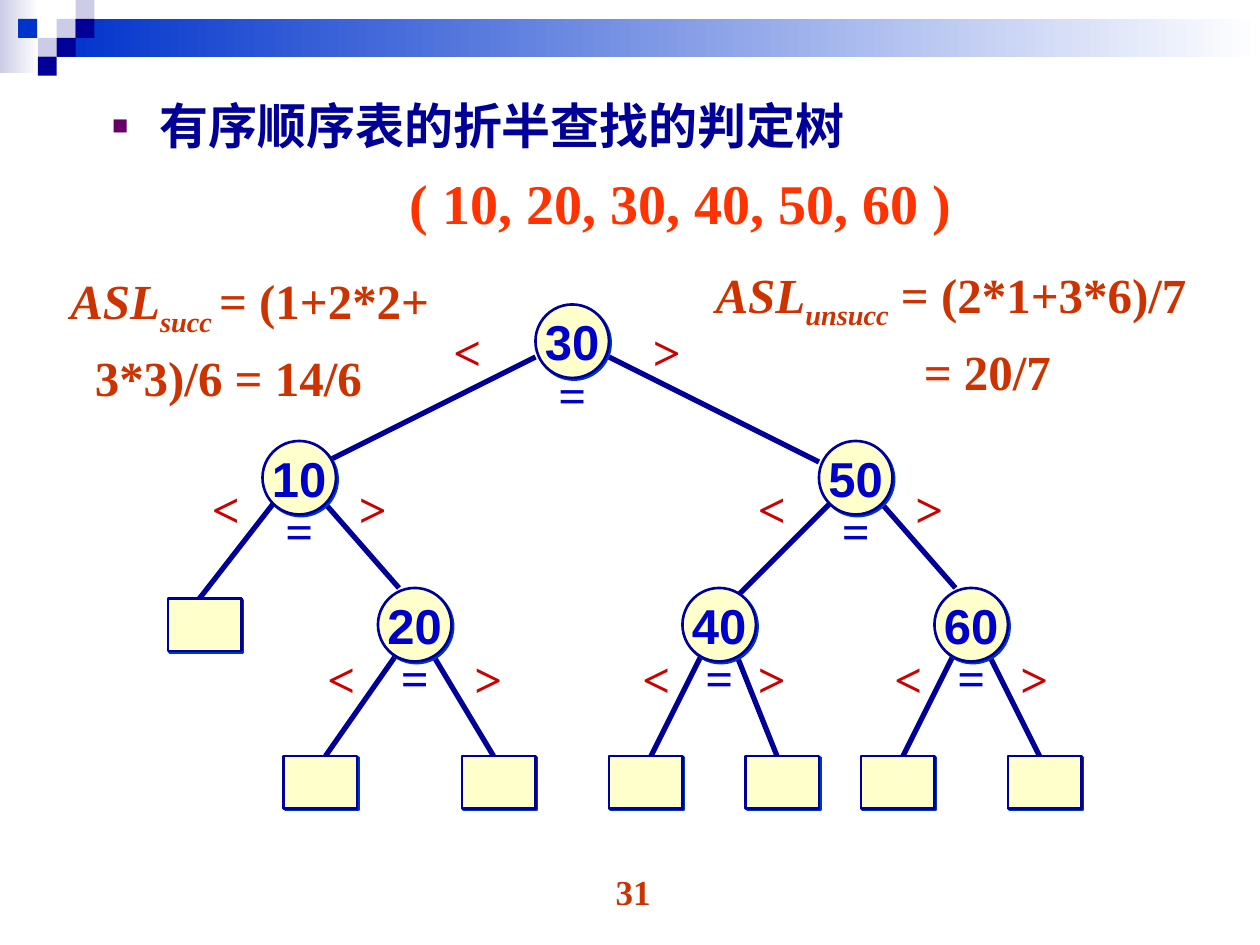
from lxml.etree import SubElement
from pptx import Presentation
from pptx.dml.color import RGBColor
from pptx.enum.shapes import MSO_CONNECTOR, MSO_SHAPE
from pptx.enum.text import MSO_ANCHOR, MSO_AUTO_SIZE, PP_ALIGN
from pptx.oxml.ns import qn
from pptx.util import Pt

HUES = {
    "navy": "000099", "blue": "0033CC", "ink": "0000CC", "pale": "CCCCE6",
    "cream": "FFFFCC", "white": "FFFFFF", "red": "CC0000", "rust": "CC3300",
    "flame": "FF3300", "plum": "660066",
}
SERIF, SANS = "Times New Roman", "Arial"
SIDE = 42
NODES = [  # label, left, top, offset of "<", offset of ">", drop of both
    ("30", 306, 174, -54, 60, 6),
    ("10", 150, 252, -36, 48, 18),
    ("50", 468, 252, -42, 48, 18),
    ("20", 216, 336, -36, 48, 31),
    ("40", 390, 336, -30, 36, 31),
    ("60", 534, 336, -30, 42, 31),
]
LEAVES = [(96, 342)] + [(x, 432) for x in (162, 264, 348, 426, 492, 576)]
EDGES = [
    (306, 204, 186, 264), (348, 204, 468, 264),
    (156, 288, 114, 342), (186, 288, 228, 336),
    (474, 288, 420, 342), (504, 288, 546, 336),
    (228, 372, 186, 432), (246, 372, 282, 432),
    (402, 372, 372, 432), (420, 372, 444, 432),
    (546, 372, 516, 432), (564, 372, 594, 432),
]
TILES = [
    (32.4, 10.8, "pale"), (43.2, 0, "pale"), (43.2, 10.8, "navy"),
    (21.6, 21.6, "pale"), (10.4, 10.8, "blue"), (32.4, 21.6, "navy"),
    (21.6, 32.4, "navy"),
]


def hue(name):
    """Return the named colour."""
    return RGBColor.from_string(HUES[name])


def style(run, size, name, face=SERIF):
    """Format a run in bold."""
    font = run.font
    font.size, font.name, font.bold = Pt(size), face, True
    font.color.rgb = hue(name)


def indent(para, left, first=0):
    """Set the left margin and first-line indent of a paragraph."""
    props = para._p.get_or_add_pPr()
    props.set("marL", str(Pt(left)))
    props.set("indent", str(Pt(first)))
    return props


def add_plain(slide, left, top, width, height):
    """Add a rectangle with no line or shadow."""
    shape = slide.shapes.add_shape(
        MSO_SHAPE.RECTANGLE, Pt(left), Pt(top), Pt(width), Pt(height))
    shape.shadow.inherit = False
    shape.line.fill.background()
    return shape


def add_fade(slide, left, top, width, height, name):
    """Add a rectangle that fades to white on the right."""
    fill = add_plain(slide, left, top, width, height).fill
    fill.gradient()
    fill.gradient_angle = 0
    for stop, tone in zip(fill.gradient_stops, (name, "white")):
        stop.color.rgb = hue(tone)


def add_tile(slide, left, top, name):
    """Add a small square of the header pattern."""
    fill = add_plain(slide, left, top, 10.8, 10.8).fill
    fill.solid()
    fill.fore_color.rgb = hue(name)


def add_cell(slide, kind, left, top, height):
    """Add a cream tree shape with a hard blue shadow."""
    shape = slide.shapes.add_shape(
        kind, Pt(left), Pt(top), Pt(SIDE), Pt(height))
    shape.fill.solid()
    shape.fill.fore_color.rgb = hue("cream")
    shape.line.color.rgb = hue("navy")
    shape.line.width = Pt(1.5)
    shape.shadow.inherit = False
    glow = shape._element.spPr.find(qn("a:effectLst"))
    cast = SubElement(glow, qn("a:outerShdw"), blurRad="0",
                      dist=str(Pt(1.4)), dir="2700000", algn="ctr")
    SubElement(cast, qn("a:srgbClr"), val=HUES["blue"])
    return shape


def add_node(slide, label, left, top):
    """Add a round node with its key."""
    frame = add_cell(slide, MSO_SHAPE.OVAL, left, top, SIDE).text_frame
    frame.text = label
    frame.word_wrap = False
    frame.vertical_anchor = MSO_ANCHOR.MIDDLE
    para = frame.paragraphs[0]
    para.alignment = PP_ALIGN.CENTER
    style(para.runs[0], 28, "ink", SANS)


def add_edge(slide, x1, y1, x2, y2):
    """Add a branch of the tree."""
    edge = slide.shapes.add_connector(
        MSO_CONNECTOR.STRAIGHT, Pt(x1), Pt(y1), Pt(x2), Pt(y2))
    edge.line.color.rgb = hue("navy")
    edge.line.width = Pt(3)
    SubElement(edge._element.spPr, qn("a:effectLst"))


def add_label(slide, text, left, top, width, height, size, name, wrap=False):
    """Add a text box with one styled line and return its frame."""
    box = slide.shapes.add_textbox(Pt(left), Pt(top), Pt(width), Pt(height))
    frame = box.text_frame
    frame.text = text
    frame.word_wrap = wrap
    style(frame.paragraphs[0].runs[0], size, name)
    return frame


def add_sum(slide, left, top, width, sub, rest, last, shift):
    """Add a search length formula on two lines."""
    frame = add_label(slide, "ASL", left, top, width, 79, 28, "rust", True)
    para = frame.paragraphs[0]
    para.runs[0].font.italic = True
    for text in (sub, rest):
        run = para.add_run()
        run.text = text
        style(run, 28, "rust")
    low = para.runs[1].font
    low.italic = True
    low._element.set("baseline", "-25000")
    tail = frame.add_paragraph()
    tail.text = last
    tail.space_before = Pt(5.6)
    indent(tail, shift)
    style(tail.runs[0], 28, "rust")


def fill_body(slide):
    """Place the heading and the key list in the body."""
    body = slide.placeholders[1]
    body.left, body.top = Pt(56.9), Pt(54.7)
    body.width, body.height = Pt(588.2), Pt(95.8)
    frame = body.text_frame
    frame.text = "有序顺序表的折半查找的判定树"
    frame.auto_size = MSO_AUTO_SIZE.NONE
    head, keys = frame.paragraphs[0], frame.add_paragraph()
    keys.text = "( 10, 20, 30, 40, 50, 60 )"
    head.line_spacing, head.space_before = 0.9, Pt(0)
    keys.line_spacing, keys.space_before = 1.05, Pt(6)
    props = indent(head, 27, -27)
    tint = SubElement(props, qn("a:buClr"))
    SubElement(tint, qn("a:srgbClr"), val=HUES["plum"])
    SubElement(props, qn("a:buSzPct"), val="55000")
    SubElement(props, qn("a:buFont"), typeface=SANS)
    SubElement(props, qn("a:buChar"), char="■")
    SubElement(indent(keys, 170), qn("a:buNone"))
    style(head.runs[0], 28, "navy")
    style(keys.runs[0], 32, "flame")


def draw_tree(slide):
    """Draw branches, leaves, nodes and their marks."""
    for edge in EDGES:
        add_edge(slide, *edge)
    for left, top in LEAVES:
        add_cell(slide, MSO_SHAPE.RECTANGLE, left, top, 30)
    for label, left, top, less, more, drop in NODES:
        add_node(slide, label, left, top)
        marks = (("<", less, drop, "red"), ("=", 6, 30.5, "ink"),
                 (">", more, drop, "red"))
        for sign, right, down, name in marks:
            add_label(slide, sign, left + right, top + down,
                      30.2, 41, 28, name)


def main():
    """Build the slide and save it."""
    deck = Presentation()
    deck.slide_width, deck.slide_height = Pt(720), Pt(540)
    slide = deck.slides.add_slide(deck.slide_layouts[1])
    title = slide.shapes.title._element
    title.getparent().remove(title)
    add_fade(slide, 0, 0, 22.3, 41.8, "pale")
    add_fade(slide, 32.4, 10.8, 687.6, 21.6, "blue")
    for tile in TILES:
        add_tile(slide, *tile)
    fill_body(slide)
    draw_tree(slide)
    add_sum(slide, 401.8, 147.6, 300, "unsucc", " = (2*1+3*6)/7",
            "= 20/7", 119)
    add_sum(slide, 33.1, 151.2, 235, "succ ", "= (1+2*2+",
            "3*3)/6 = 14/6", 14)
    page = add_label(slide, "31", 277.9, 493.9, 167.8, 37.4, 20, "rust", True)
    page.paragraphs[0].alignment = PP_ALIGN.CENTER
    deck.save("out.pptx")


if __name__ == "__main__":
    main()
